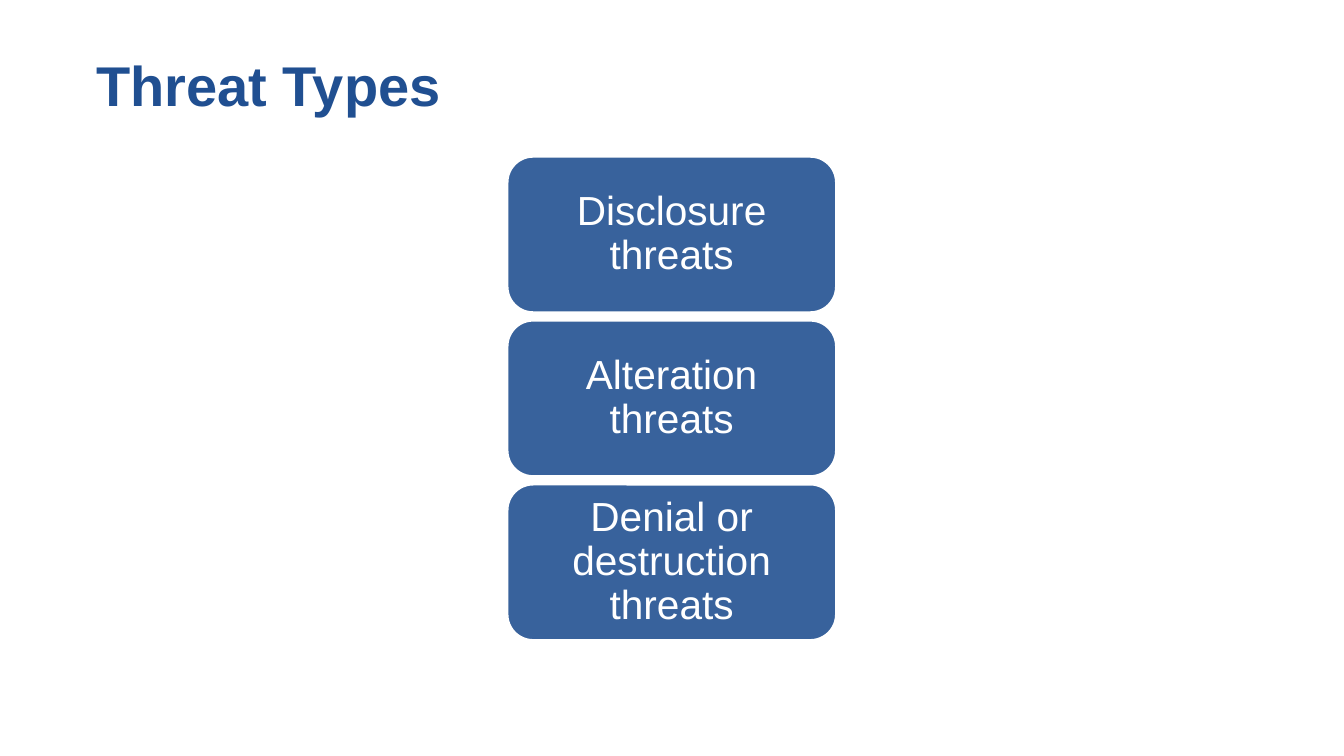
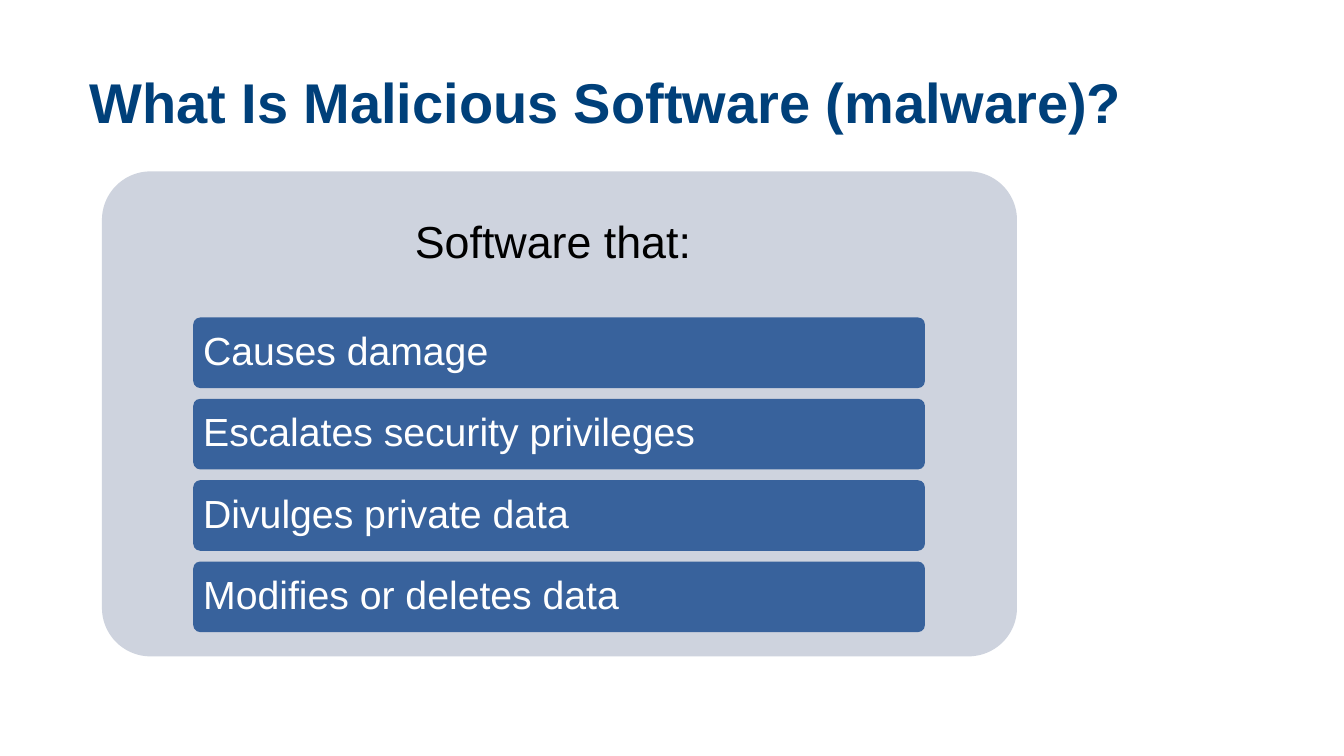
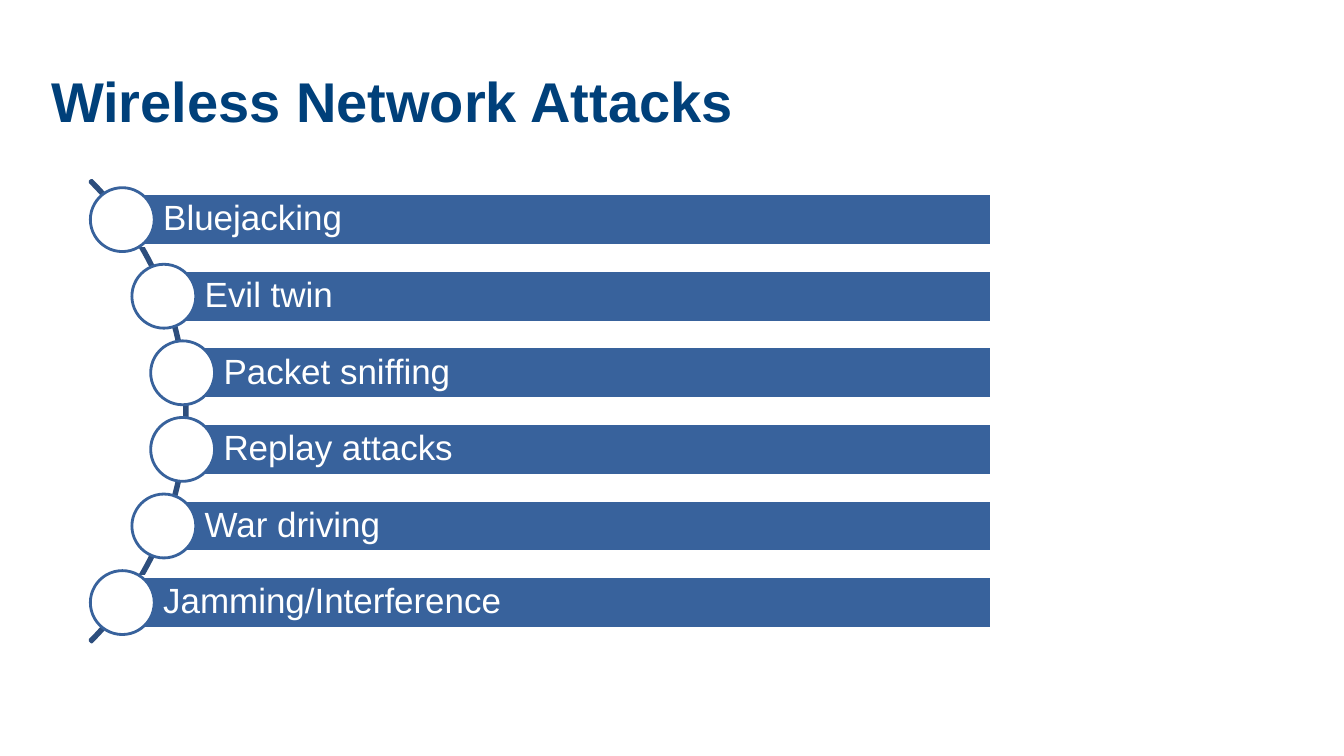
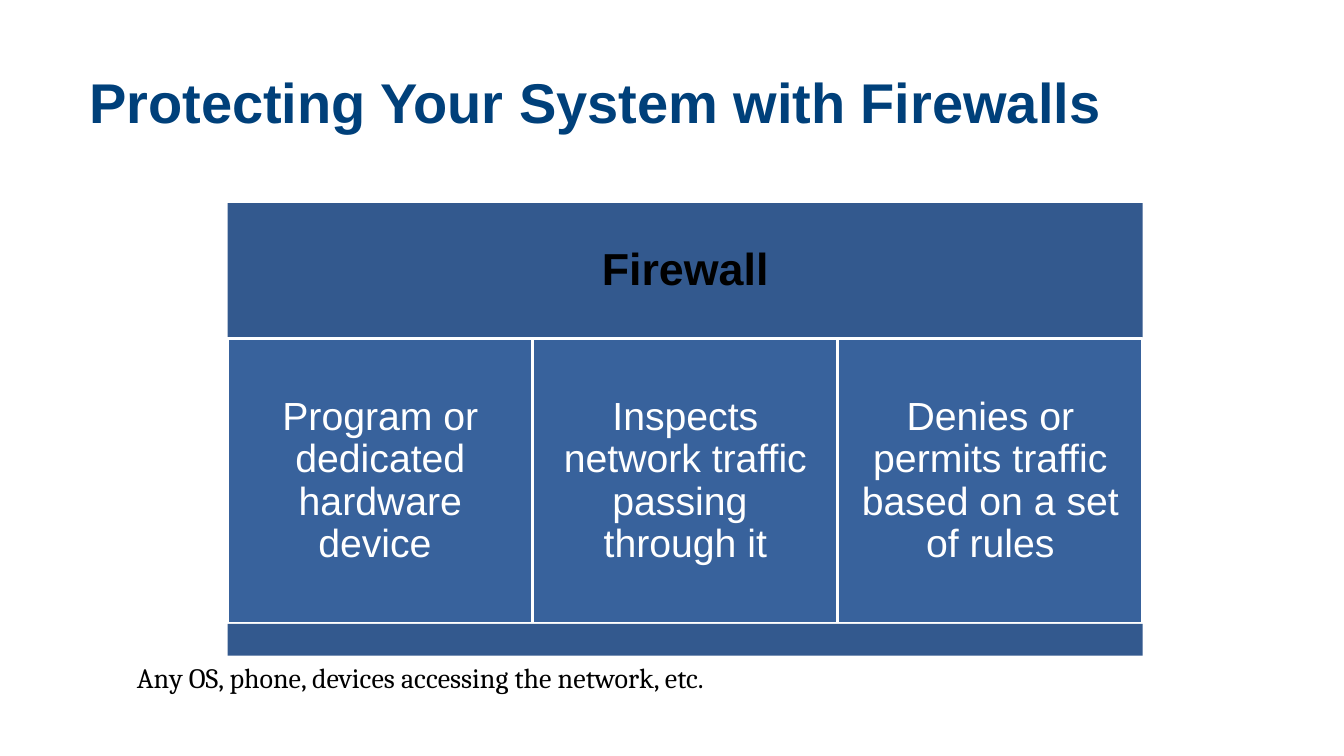
import math

import pptx
import pptx.dml.color
import pptx.enum.shapes
import pptx.enum.text
import pptx.util

Cm = pptx.util.Cm
Pt = pptx.util.Pt
SHAPE = pptx.enum.shapes.MSO_SHAPE
ALIGN = pptx.enum.text.PP_ALIGN
COLORS = {
    "royal": "204F91",
    "navy": "00407A",
    "box": "38629C",
    "band": "33598E",
    "arc": "2D4E7D",
    "panel": "CED3DE",
    "white": "FFFFFF",
    "black": "000000",
}


def rgb(name):
    return pptx.dml.color.RGBColor.from_string(COLORS[name])


def write(s, text, size=28, color="white", font="Arial", bold=False,
          align=ALIGN.CENTER, anchor=pptx.enum.text.MSO_ANCHOR.MIDDLE,
          insets=(0.25, 0.13, 0.25, 0.13), spacing=0.9, wrap=True):
    tf = s.text_frame
    tf.word_wrap = wrap
    tf.vertical_anchor = anchor
    tf.margin_left, tf.margin_top, tf.margin_right, tf.margin_bottom = map(Cm, insets)
    p = tf.paragraphs[0]
    p.text = text
    p.alignment = align
    p.line_spacing = spacing
    for r in p.runs:
        r.font.name = font
        r.font.size = Pt(size)
        r.font.bold = bold
        r.font.color.rgb = rgb(color)


def add_box(slide, kind, x, y, w, h, fill=None, line=None, adjust=()):
    s = slide.shapes.add_shape(kind, Cm(x), Cm(y), Cm(w), Cm(h))
    s.shadow.inherit = False
    if fill:
        s.fill.solid()
        s.fill.fore_color.rgb = rgb(fill)
    else:
        s.fill.background()
    if line:
        s.line.color.rgb = rgb(line)
        s.line.width = Pt(2)
    else:
        s.line.fill.background()
    for i, value in enumerate(adjust):
        s.adjustments[i] = value
    return s


def add_slide(prs, title, x=2.0, y=0.84, w=30.73, h=3.43, color="navy"):
    slide = prs.slides.add_slide(prs.slide_layouts.get_by_name("Title Only"))
    s = slide.shapes.title
    s.left, s.top, s.width, s.height = Cm(x), Cm(y), Cm(w), Cm(h)
    write(s, title, size=40, color=color, bold=True, align=ALIGN.LEFT, spacing=1.0)
    return slide


def threat_types(prs):
    slide = add_slide(prs, "Threat Types", 2.18, 0.71, 23.06, 2.82, "royal")
    threats = ["Disclosure threats", "Alteration threats", "Denial or destruction threats"]
    for i, text in enumerate(threats):
        s = add_box(slide, SHAPE.ROUNDED_RECTANGLE, 12.78, 3.94 + i * 4.13, 8.3, 3.94,
                    "box", "white")
        write(s, text, size=29, insets=(0.3, 0.15, 0.3, 0.15))


def malware(prs):
    slide = add_slide(prs, "What Is Malicious Software (malware)?")
    add_box(slide, SHAPE.ROUNDED_RECTANGLE, 2.57, 4.32, 23.06, 12.22, "panel", adjust=[0.1])
    s = slide.shapes.add_textbox(Cm(2.57), Cm(4.32), Cm(23.06), Cm(3.66))
    write(s, "Software that: ", size=32, color="black", insets=[0.33] * 4)
    effects = ["Causes damage", "Escalates security privileges",
               "Divulges private data", "Modifies or deletes data"]
    for i, text in enumerate(effects):
        s = add_box(slide, SHAPE.ROUNDED_RECTANGLE, 4.87, 8.0 + i * 2.05, 18.44, 1.78,
                    "box", adjust=[0.1])
        write(s, text, align=ALIGN.LEFT, insets=(0.2, 0.15, 0.2, 0.15))


def wireless_attacks(prs):
    slide = add_slide(prs, "Wireless Network Attacks", x=1.04, y=0.81)
    attacks = ["Bluejacking", "Evil twin", "Packet sniffing",
               "Replay attacks", "War driving", "Jamming/Interference"]
    cx, cy, radius, rail = -3.51, 10.36, 8.23, 8.17
    step, bar_h, dot, right = 1.93, 1.3, 1.61, 24.98
    add_box(slide, SHAPE.BLOCK_ARC, cx - radius, cy - radius, 2 * radius, 2 * radius,
            line="arc", adjust=[189, 27, 0.004])
    for i, text in enumerate(attacks):
        dy = (i - (len(attacks) - 1) / 2) * step
        x, y = cx + math.sqrt(rail ** 2 - dy ** 2), cy + dy
        s = add_box(slide, SHAPE.RECTANGLE, x, y - bar_h / 2, right - x, bar_h, "box", "white")
        write(s, text, size=25, align=ALIGN.LEFT, insets=(1.03, 0.17, 0.17, 0.17))
        add_box(slide, SHAPE.OVAL, x - dot / 2, y - dot / 2, dot, dot, "white", "box")


def firewalls(prs):
    slide = add_slide(prs, "Protecting Your System with Firewalls")
    left, width = 5.74, 23.06
    s = add_box(slide, SHAPE.RECTANGLE, left, 5.12, width, 3.42, "band")
    write(s, "Firewall", size=32, color="black", bold=True, insets=[0.33] * 4)
    features = ["Program or dedicated hardware device ",
                "Inspects network traffic passing \vthrough it",
                "Denies or permits traffic based on a set of rules"]
    col_w = width / len(features)
    for i, text in enumerate(features):
        s = add_box(slide, SHAPE.RECTANGLE, left + i * col_w, 8.54, col_w, 7.18, "box", "white")
        write(s, text, insets=[0.3] * 4)
    add_box(slide, SHAPE.RECTANGLE, left, 15.72, width, 0.8, "band")
    s = slide.shapes.add_textbox(Cm(3.2), Cm(16.51), Cm(15.24), Cm(1.12))
    write(s, "Any OS, phone, devices accessing the network, etc.", size=20, color="black",
          font="Cambria", align=ALIGN.LEFT, anchor=pptx.enum.text.MSO_ANCHOR.TOP,
          spacing=1.0, wrap=False)
    s.text_frame.auto_size = pptx.enum.text.MSO_AUTO_SIZE.SHAPE_TO_FIT_TEXT


def main():
    prs = pptx.Presentation()
    prs.slide_width, prs.slide_height = Cm(33.87), Cm(19.05)
    threat_types(prs)
    malware(prs)
    wireless_attacks(prs)
    firewalls(prs)
    prs.save("out.pptx")


if __name__ == "__main__":
    main()
